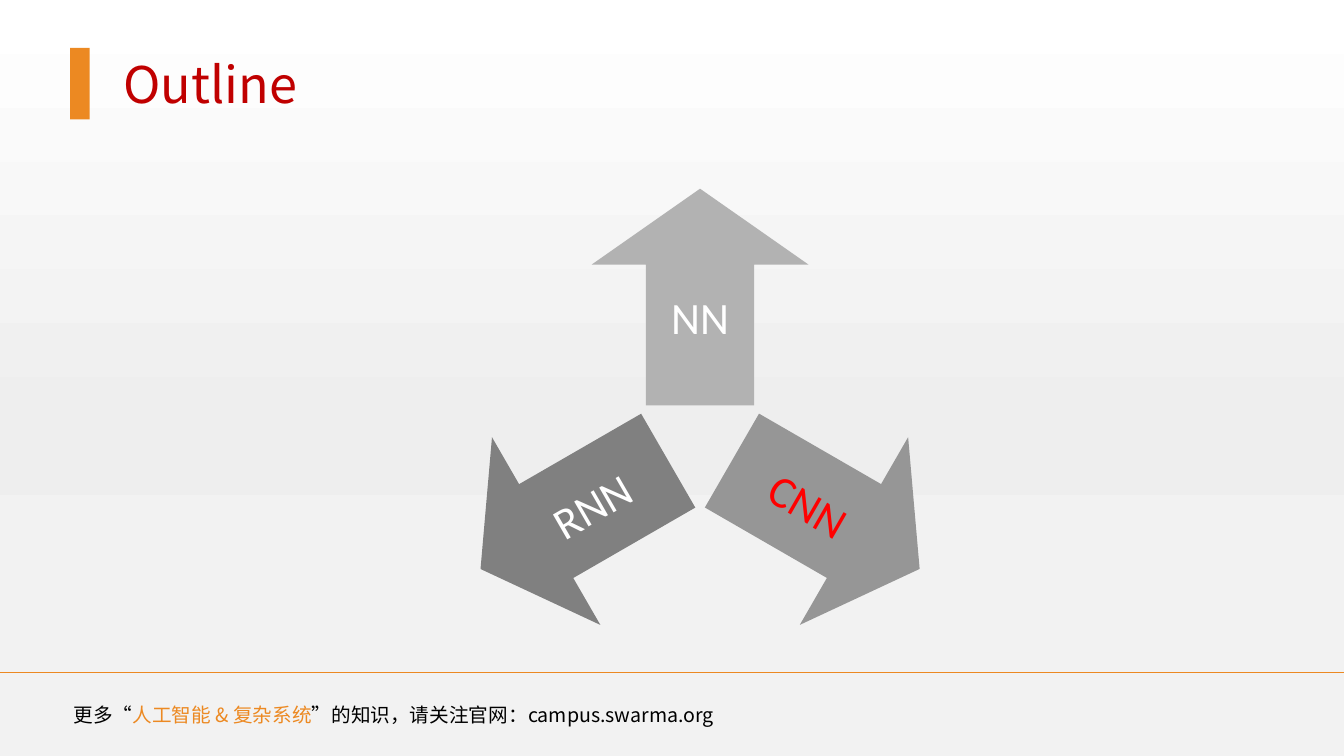
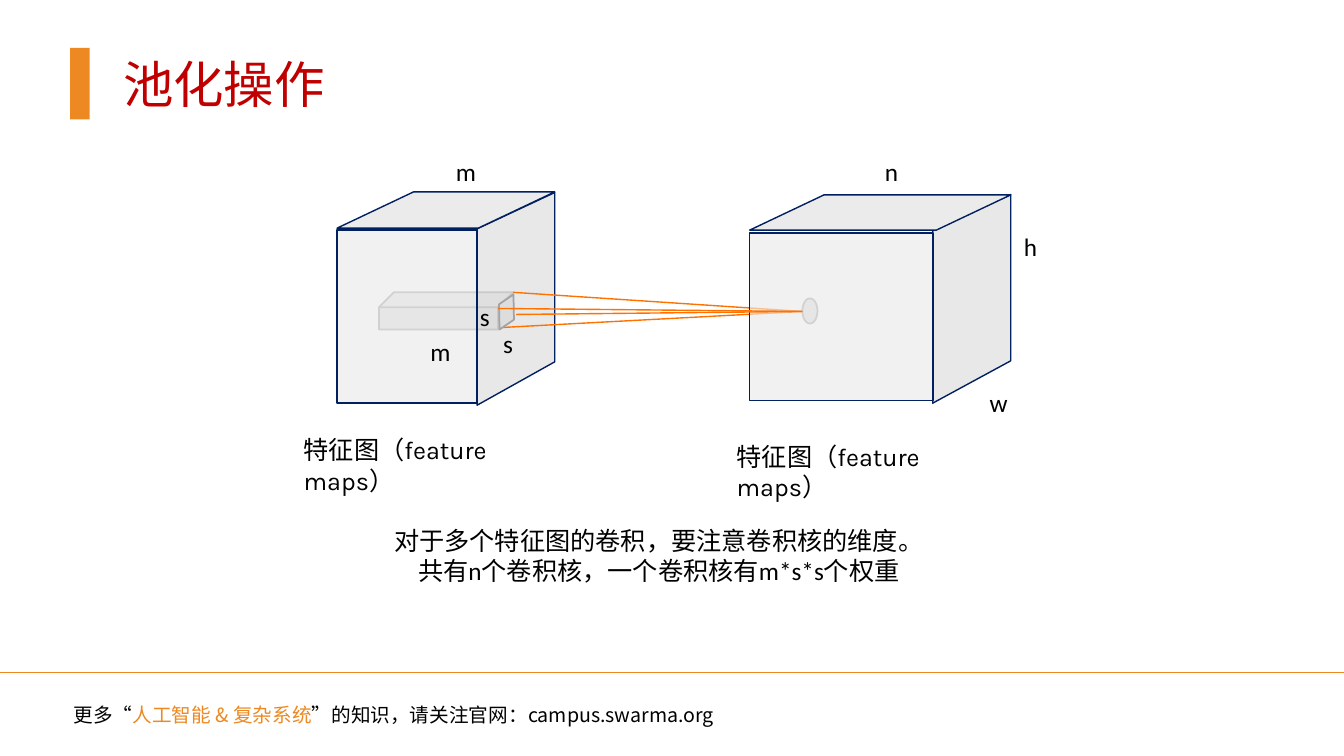
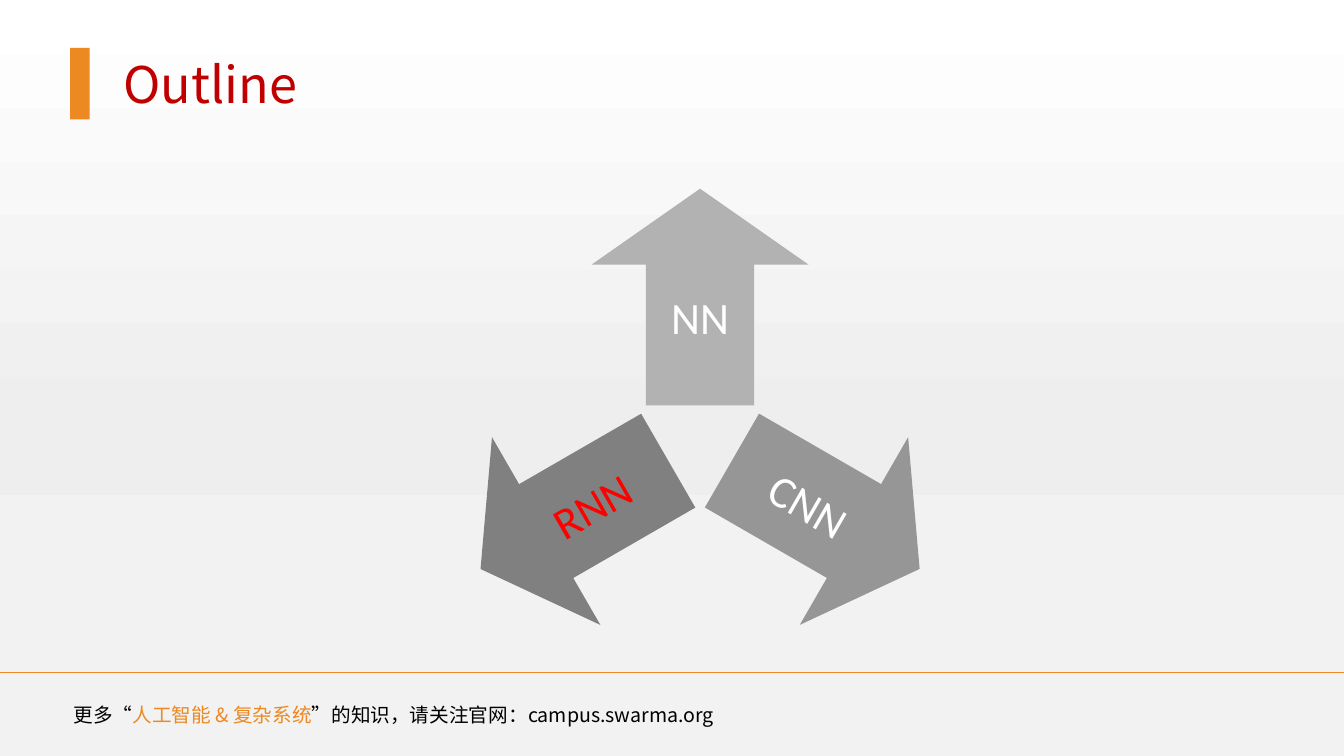
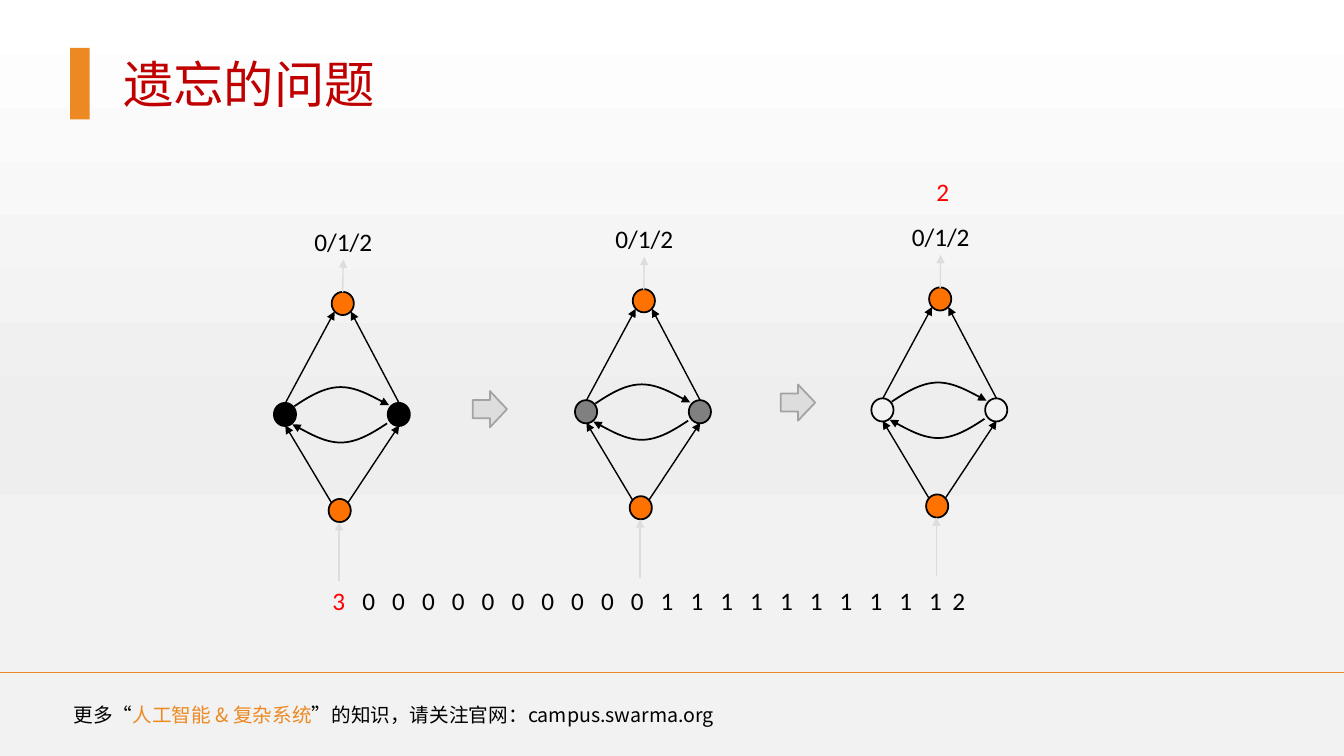
from copy import deepcopy
from lxml import etree
from pptx import Presentation
from pptx import util as u
from pptx.dml.color import RGBColor
from pptx.enum import shapes, text
from pptx.oxml.ns import qn

GRID = u.Inches(0.1)
COLS, ROWS = 133.33, 75

BLACK = RGBColor(0, 0, 0)
WHITE = RGBColor(0xFF, 0xFF, 0xFF)
RED = RGBColor(0xFF, 0, 0)
CRIMSON = RGBColor(0xC0, 0, 0)
AMBER = RGBColor(0xEC, 0x89, 0x22)
ORANGE = RGBColor(0xFF, 0x72, 0)
NAVY = RGBColor(0, 0x20, 0x60)
PALE = RGBColor(0xEB, 0xEB, 0xEB)
MIST = RGBColor(0xF2, 0xF2, 0xF2)
HAZE = RGBColor(0xEE, 0xEE, 0xEE)
LIGHT = RGBColor(0xDD, 0xDD, 0xDD)
EDGE = RGBColor(0xA3, 0xA3, 0xA3)
SILVER = RGBColor(0xB2, 0xB2, 0xB2)
STEEL = RGBColor(0x96, 0x96, 0x96)
GREY = RGBColor(0x80, 0x80, 0x80)

SANS, BODY, LABEL = "Noto Sans CJK SC", "Calibri", "Karla"
KIND = shapes.MSO_SHAPE
STRAIGHT = shapes.MSO_CONNECTOR.STRAIGHT
MID = text.MSO_ANCHOR.MIDDLE
CENTER = text.PP_ALIGN.CENTER


def ink(item, fill=None, line=None, width=1, tip=False, alpha=None):
    if hasattr(item, "fill"):
        if fill is None:
            item.fill.background()
        else:
            item.fill.solid()
            item.fill.fore_color.rgb = fill
    props = item._element.spPr
    if alpha:
        tint = props.find(qn("a:solidFill"))[0]
        etree.SubElement(tint, qn("a:alpha"), val=str(alpha * 1000))
    if line is None:
        item.line.fill.background()
    else:
        item.line.color.rgb = line
        item.line.width = u.Pt(width)
    if tip:
        etree.SubElement(props.find(qn("a:ln")), qn("a:tailEnd"), type="triangle")
    etree.SubElement(props, qn("a:effectLst"))
    return item


def say(page, spot, runs, size=18, font=BODY, align=None, wrap=True):
    box = page.shapes.add_textbox(*[int(v * GRID) for v in spot])
    box.text_frame.word_wrap = wrap
    para = box.text_frame.paragraphs[0]
    para.alignment = align
    for words, tint in runs:
        run = para.add_run()
        run.text = words
        run.font.size = u.Pt(size)
        run.font.name = font
        run.font.color.rgb = tint
    return box


deck = Presentation()
deck.slide_width = int(COLS * GRID)
deck.slide_height = ROWS * GRID

pages = []
for name, wide, shade in (("Outline", 80.2, True), ("池化操作", 80.2, False),
                          ("Outline", 80.2, True), ("遗忘的问题", 51, True)):
    page = deck.slides.add_slide(deck.slide_layouts[5])
    pages.append(page)
    title = page.shapes.title
    if shade:
        wash = ink(page.shapes.add_shape(
            KIND.RECTANGLE, 0, 0, deck.slide_width, deck.slide_height))
        title._element.addprevious(wash._element)
        wash.fill.gradient()
        wash.fill.gradient_angle = 270
        stops = wash.fill.gradient_stops
        first = stops[0]._gs
        for _ in range(4 - len(stops)):
            first.addnext(deepcopy(first))
        for stop, (place, tint) in zip(wash.fill.gradient_stops, (
                (0, WHITE), (0.57, HAZE), (0.74, MIST), (1, MIST))):
            stop.position = place
            stop.color.rgb = tint

    title.left, title.top, title.width, title.height = [
        int(v * GRID) for v in (11.22, 4.75, wide, 7.1)]
    frame = title.text_frame
    frame.auto_size = text.MSO_AUTO_SIZE.NONE
    frame.vertical_anchor = MID
    para = frame.paragraphs[0]
    para.alignment = text.PP_ALIGN.LEFT
    run = para.add_run()
    run.text = name
    run.font.size = u.Pt(36)
    run.font.name = SANS
    run.font.color.rgb = CRIMSON

    ink(page.shapes.add_shape(KIND.RECTANGLE, *[
        int(v * GRID) for v in (6.95, 4.75, 1.95, 7.1)]), AMBER)
    ink(page.shapes.add_connector(STRAIGHT, *[
        int(v * GRID) for v in (-3, 66.7, 136.1, 66.7)]), line=AMBER, tip=True)
    say(page, (6.3, 69.2, 78.5, 3.4), (
        ("更多“", BLACK), ("人工智能 & 复杂系统", AMBER),
        ("”的知识，请关注官网：campus.swarma.org", BLACK)), 14, SANS)

for page, hot in ((pages[0], "CNN"), (pages[2], "RNN")):
    for name, turn, tilt, tint, dx, dy, wide, high in (
            ("NN", 0, 0, SILVER, 0, -1, 10.8, 17.8),
            ("CNN", 120, 30, STEEL, 0.866, 0.5, 17.8, 10.8),
            ("RNN", 240, 330, GREY, -0.866, 0.5, 17.8, 10.8)):
        side = 21.5
        x, y = 69.45 + 14.4 * dx, 43.87 + 14.4 * dy
        arrow = page.shapes.add_shape(KIND.UP_ARROW, *[
            int(v * GRID) for v in (x - side / 2, y - side / 2, side, side)])
        arrow.adjustments[0], arrow.adjustments[1] = 0.5, 0.35
        arrow.rotation = turn
        ink(arrow, tint)
        x, y = 69.45 + 12.45 * dx, 43.87 + 12.45 * dy
        tag = say(page, (x - wide / 2, y - high / 2, wide, high),
                  ((name, RED if name == hot else WHITE),), 32, align=CENTER)
        tag.text_frame.vertical_anchor = MID
        tag.rotation = tilt

page = pages[1]
for kind, spot, adj in ((KIND.OVAL, (79.6, 29.6, 1.5, 2.5), None),
                        (KIND.CUBE, (37.6, 29, 13.3, 3.7), 0.4)):
    item = page.shapes.add_shape(kind, *[int(v * GRID) for v in spot])
    if adj:
        item.adjustments[0] = adj
    ink(item, LIGHT, EDGE, 1.25)

rays = ((50.9, 29), (49.6, 32.5), (51.2, 31.2), (49.4, 30.6))
hub = (79.6, 30.9)
for face, top, wall, early in (
        ((33.44, 22.83, 13.9, 17.14), (33.44, 19.04, 21.6, 3.6),
         ((47.34, 22.7), (47.34, 40.2), (55.04, 35.9), (55.04, 19.1)), ()),
        ((74.37, 23.1, 18.2, 16.65), (74.37, 19.33, 25.9, 3.5),
         ((92.53, 22.9), (92.53, 40), (100.27, 35.8), (100.27, 19.3)), rays[:2])):
    dots = [(int(x * GRID), int(y * GRID)) for x, y in wall]
    pen = page.shapes.build_freeform(*dots[0])
    pen.add_line_segments(dots[1:], close=True)
    ink(pen.convert_to_shape(), LIGHT, NAVY, alpha=66)
    lid = page.shapes.add_shape(KIND.PARALLELOGRAM, *[int(v * GRID) for v in top])
    lid.adjustments[0] = 2.11
    ink(lid, PALE, NAVY)
    for ray in early:
        ink(page.shapes.add_connector(STRAIGHT, *[
            int(v * GRID) for v in ray + hub]), line=ORANGE)
    ink(page.shapes.add_shape(KIND.RECTANGLE, *[
        int(v * GRID) for v in face]), PALE, NAVY, alpha=65)

end = page.shapes.add_shape(KIND.PARALLELOGRAM, *[
    int(v * GRID) for v in (48.7, 29.9, 3.1, 2.1)])
end.adjustments[0] = 0.65
end.rotation = 325.8
ink(end, LIGHT, EDGE, 1.25)
for ray in rays[2:]:
    ink(page.shapes.add_connector(STRAIGHT, *[
        int(v * GRID) for v in ray + hub]), line=ORANGE)

for x, y in ((29.14, 42.64), (72.1, 43.3)):
    say(page, (x, y, 28.5, 4), (("特征图（feature maps）", BLACK),), font=LABEL)
say(page, (37.9, 51.6, 54.9, 7.1), ((
    "对于多个特征图的卷积，要注意卷积核的维度。共有n个卷积核，一个卷积核有m*s*s个权重",
    BLACK),), align=CENTER)
for name, x, y, wide in (
        ("m", 44.23, 15, 5.1), ("n", 86.8, 15, 5.1), ("h", 100.6, 22.5, 6),
        ("w", 97.2, 37.9, 6), ("m", 41.7, 32.9, 5.1)):
    say(page, (x, y, wide, 4), ((name, BLACK),))
for x, y in ((49.9, 32.1), (47.6, 29.4)):
    tag = say(page, (x, y, 0.9, 4), (("s", BLACK),), wrap=False)
    tag.text_frame.margin_left = tag.text_frame.margin_right = 0

page = pages[3]
row = say(page, (32, 57.6, 65.5, 4), (
    ("3", RED), ("\t0" * 10 + "\t1" * 10 + "\t2", BLACK)))
tabs = etree.SubElement(row.text_frame.paragraphs[0]._p.get_or_add_pPr(), qn("a:tabLst"))
for step in [2.96 * n for n in range(1, 21)] + [61.5]:
    etree.SubElement(tabs, qn("a:tab"), pos=str(int(step * GRID)), algn="l")
say(page, (91.9, 17, 3.3, 4), (("2", RED),), wrap=False)

arc = ((29.2, 40.3), (30.7, 39.3), (32.2, 38.4), (33.8, 38.4),
       (35.4, 38.4), (38.6, 40.2), (38.6, 40.2))
back = [(67.6 - x, 82.3 - y) for x, y in arc]

for dx, dy, core in ((0, 0, BLACK), (29.87, -0.27, GREY), (59.27, -0.45, MIST)):
    for x, y, tint in ((32.6, 49.5, ORANGE), (27.17, 39.97, core),
                       (38.46, 39.97, core), (32.9, 28.96, ORANGE)):
        ink(page.shapes.add_shape(KIND.OVAL, *[
            int(v * GRID) for v in (x + dx, y + dy, 2.2, 2.3)]), tint, BLACK, 1.25)
    for x, y, p, q, tint in (
            (32.9, 49.9, 28.3, 42.2, BLACK), (34.5, 49.9, 39.6, 42.2, BLACK),
            (39.6, 40, 34.8, 30.9, BLACK), (28.3, 40, 33.2, 30.9, BLACK),
            (33.63, 57.6, 33.63, 51.8, LIGHT), (34, 29, 34.05, 25.74, LIGHT)):
        ink(page.shapes.add_connector(STRAIGHT, *[
            int(v * GRID) for v in (x + dx, y + dy, p + dx, q + dy)]),
            line=tint, tip=True)
    for curve in (arc, back):
        dots = [(int((x + dx) * GRID), int((y + dy) * GRID)) for x, y in curve]
        pen = page.shapes.build_freeform(*dots[0])
        pen.add_line_segments(dots[1:], close=False)
        bow = ink(pen.convert_to_shape(), line=BLACK, width=1.25, tip=True)
        legs = list(bow._element.iter(qn("a:lnTo")))
        for trio in (legs[:3], legs[3:]):
            bend = etree.SubElement(trio[0].getparent(), qn("a:cubicBezTo"))
            for leg in trio:
                bend.append(leg[0])
                leg.getparent().remove(leg)
    say(page, (30.2 + dx, 21.93 + dy, 8.5, 4), (("0/1/2", BLACK),))

for x, y in ((46.9, 38.8), (77.47, 38.14)):
    ink(page.shapes.add_shape(KIND.RIGHT_ARROW, *[
        int(v * GRID) for v in (x, y, 3.4, 3.6)]), LIGHT, EDGE, 1.25)

deck.save("out.pptx")
